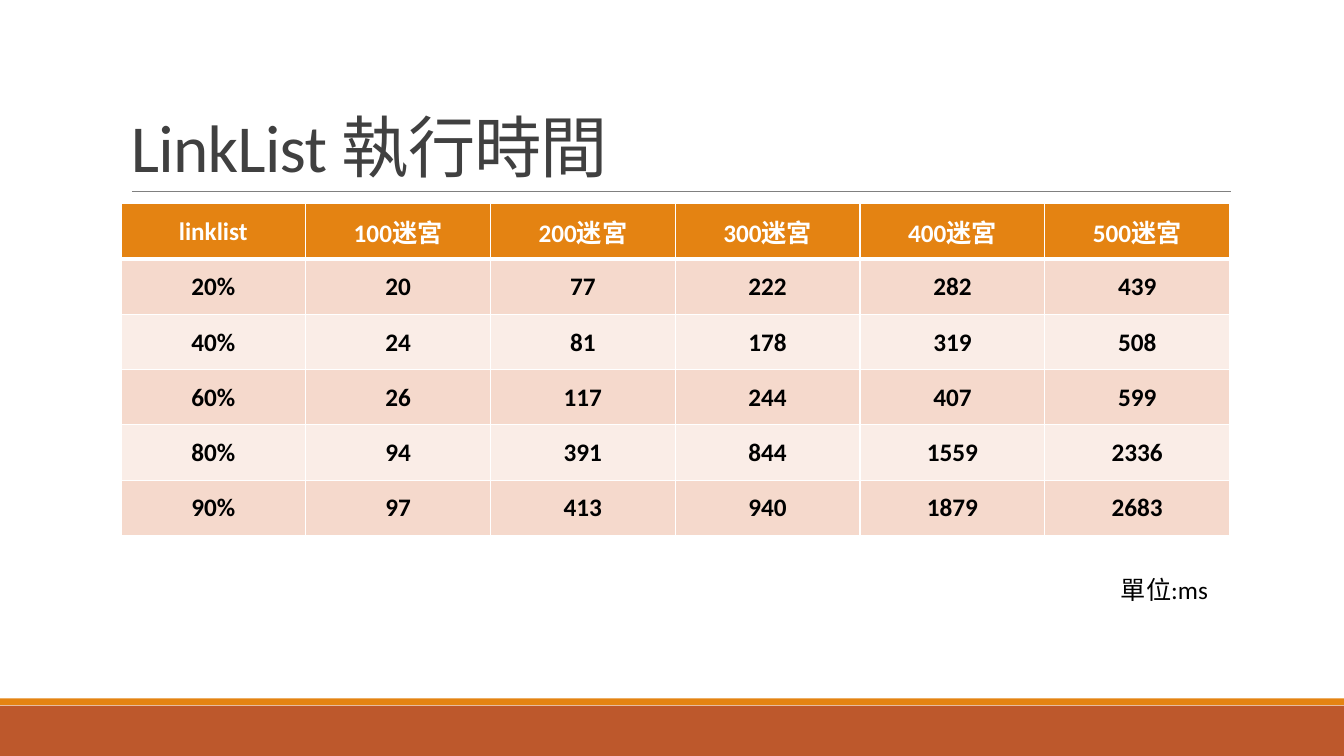
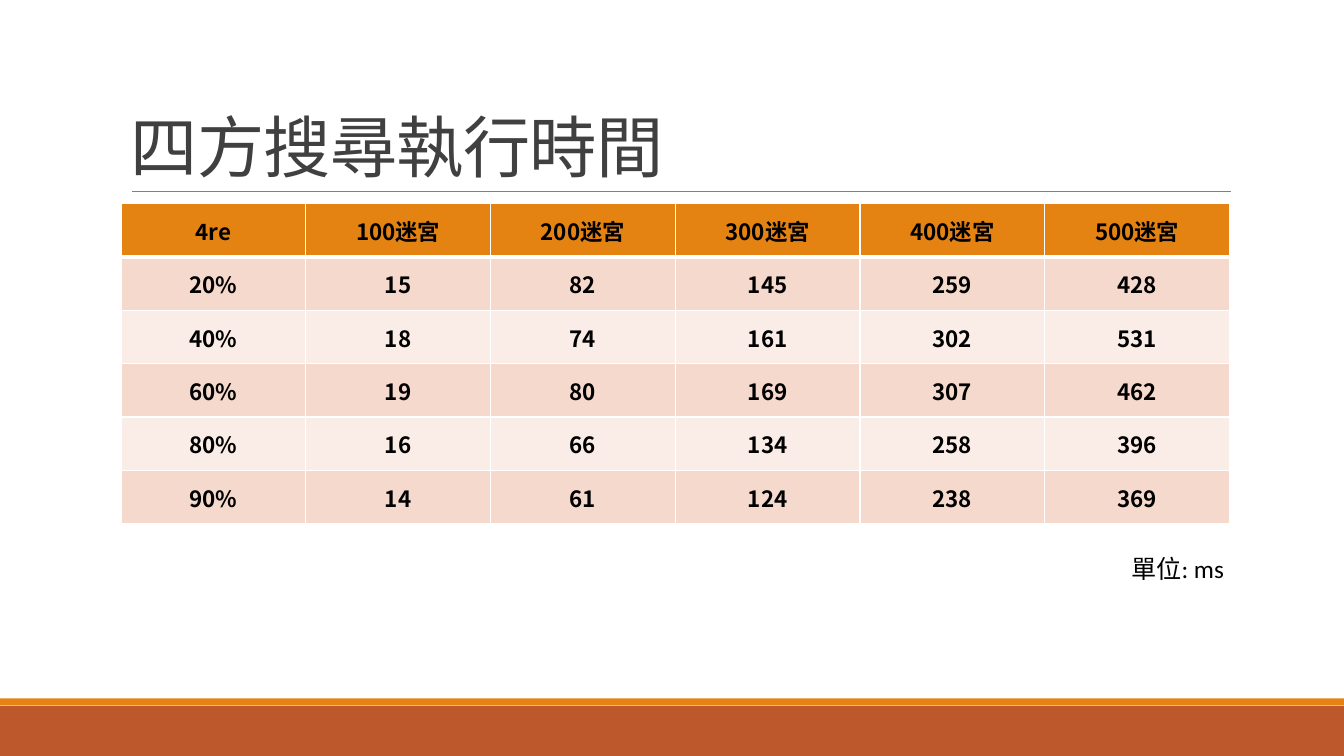
from dataclasses import dataclass

from lxml import etree
from pptx import Presentation
from pptx.dml.color import RGBColor
from pptx.enum.shapes import MSO_CONNECTOR, MSO_SHAPE
from pptx.enum.text import MSO_ANCHOR, PP_ALIGN
from pptx.oxml.ns import qn
from pptx.util import Pt

RECT = MSO_SHAPE.RECTANGLE
STRAIGHT = MSO_CONNECTOR.STRAIGHT
TOP, MIDDLE, BOTTOM = MSO_ANCHOR.TOP, MSO_ANCHOR.MIDDLE, MSO_ANCHOR.BOTTOM
LEFT, CENTER = PP_ALIGN.LEFT, PP_ALIGN.CENTER


@dataclass(frozen=True)
class Theme:
    orange: str = "E48312"
    rust: str = "BD582C"
    rule: str = "808080"
    title: str = "404040"
    black: str = "000000"
    white: str = "FFFFFF"
    bands: tuple[str, str] = ("F5D9CC", "FAEDE7")
    latin: str = "Calibri"
    cjk: str = "Noto Sans CJK TC"
    title_size: float = 48
    body_size: float = 18
    small_size: float = 16


T = Theme()
WIDTH, HEIGHT = 960, 540
MARGIN, CONTENT_W = 86.4, 792
TABLE_TOP = 145.5
MAZES = [f"{n}迷宮" for n in range(100, 600, 100)]
DENSITIES = ["20%", "40%", "60%", "80%", "90%"]


@dataclass(frozen=True)
class Timing:
    title: str
    corner: str
    values: list[list[int]]
    row_h: float
    font: str
    size: float
    head_color: str
    unit: str
    unit_box: tuple[float, float, float, float]


TIMINGS = [
    Timing("LinkList 執行時間", "linklist",
           [[20, 77, 222, 282, 439],
            [24, 81, 178, 319, 508],
            [26, 117, 244, 407, 599],
            [94, 391, 844, 1559, 2336],
            [97, 413, 940, 1879, 2683]],
           39.5, T.latin, T.body_size, T.white,
           "單位:ms", (793.5, 406.8, 85, 29)),
    Timing("四方搜尋執行時間", "4re",
           [[15, 82, 145, 259, 428],
            [18, 74, 161, 302, 531],
            [19, 80, 169, 307, 462],
            [16, 66, 134, 258, 396],
            [14, 61, 124, 238, 369]],
           38.1, T.cjk, T.small_size, T.black,
           "單位: ms", (800.9, 392, 117, 29)),
]


def rgb(color: str) -> RGBColor:
    return RGBColor.from_string(color)


# Text
def write(tf, text: str, *, size: float = T.body_size, color: str = T.black,
          font: str = T.latin, bold: bool = False, align=LEFT,
          line_spacing: float | None = None, tracking: float = 0) -> None:
    p = tf.paragraphs[0]
    p.alignment = align
    p.line_spacing = line_spacing
    r = p.add_run()
    r.text = text
    r.font.size = Pt(size)
    r.font.bold = bold
    r.font.color.rgb = rgb(color)
    r.font.name = font
    rpr = r.font._element
    etree.SubElement(rpr, qn("a:ea"), typeface=T.cjk)
    if tracking:
        rpr.set("spc", str(round(tracking * 100)))


def add_text(s, box: tuple[float, float, float, float], text: str,
             anchor=TOP, **fmt) -> None:
    tf = s.shapes.add_textbox(*map(Pt, box)).text_frame
    tf.word_wrap = True
    tf.vertical_anchor = anchor
    write(tf, text, **fmt)


# Shared frame: footer bands, title rule and title
def add_band(s, top: float, height: float, color: str) -> None:
    sp = s.shapes.add_shape(RECT, 0, Pt(top), Pt(WIDTH), Pt(height))
    sp.shadow.inherit = False
    sp.fill.solid()
    sp.fill.fore_color.rgb = rgb(color)
    sp.line.fill.background()


def add_frame(s, title: str) -> None:
    add_band(s, 504, 36, T.rust)
    add_band(s, 498.8, 5, T.orange)
    rule = s.shapes.add_connector(STRAIGHT, Pt(94.2), Pt(136.8), Pt(879), Pt(136.8))
    rule.line.color.rgb = rgb(T.rule)
    rule.line.width = Pt(0.5)
    etree.SubElement(rule._element.spPr, qn("a:effectLst"))
    add_text(s, (MARGIN, 22.6, CONTENT_W, 114.2), title, BOTTOM,
             size=T.title_size, color=T.title, line_spacing=0.85, tracking=-0.5)


# Table
def set_borders(cell, top: float, bottom: float) -> None:
    tcpr = cell._tc.get_or_add_tcPr()
    for side, width in (("L", 1), ("R", 1), ("T", top), ("B", bottom)):
        ln = etree.SubElement(tcpr, qn(f"a:ln{side}"), w=str(Pt(width)))
        fill = etree.SubElement(ln, qn("a:solidFill"))
        etree.SubElement(fill, qn("a:srgbClr"), val=T.white)


def add_timing_table(s, timing: Timing) -> None:
    rows = [[timing.corner, *MAZES]]
    rows += [[d, *map(str, v)] for d, v in zip(DENSITIES, timing.values)]
    n_rows, n_cols = len(rows), len(rows[0])
    table = s.shapes.add_table(n_rows, n_cols, Pt(MARGIN), Pt(TABLE_TOP),
                               Pt(CONTENT_W), Pt(timing.row_h * n_rows)).table
    table.horz_banding = False
    for i, row in enumerate(rows):
        table.rows[i].height = Pt(timing.row_h)
        head = i == 0
        for j, text in enumerate(row):
            cell = table.cell(i, j)
            set_borders(cell, 3 if i == 1 else 1, 3 if head else 1)
            cell.fill.solid()
            cell.fill.fore_color.rgb = rgb(T.orange if head else T.bands[(i - 1) % 2])
            cell.margin_left = cell.margin_right = cell.margin_top = Pt(0.7)
            cell.margin_bottom = 0
            cell.vertical_anchor = MIDDLE
            write(cell.text_frame, text, size=timing.size, font=timing.font,
                  color=timing.head_color if head else T.black,
                  bold=True, align=CENTER)


def main() -> None:
    prs = Presentation()
    prs.slide_width, prs.slide_height = Pt(WIDTH), Pt(HEIGHT)
    blank = prs.slide_layouts[6]
    for timing in TIMINGS:
        s = prs.slides.add_slide(blank)
        add_frame(s, timing.title)
        add_timing_table(s, timing)
        add_text(s, timing.unit_box, timing.unit)
    prs.save("out.pptx")


if __name__ == "__main__":
    main()
